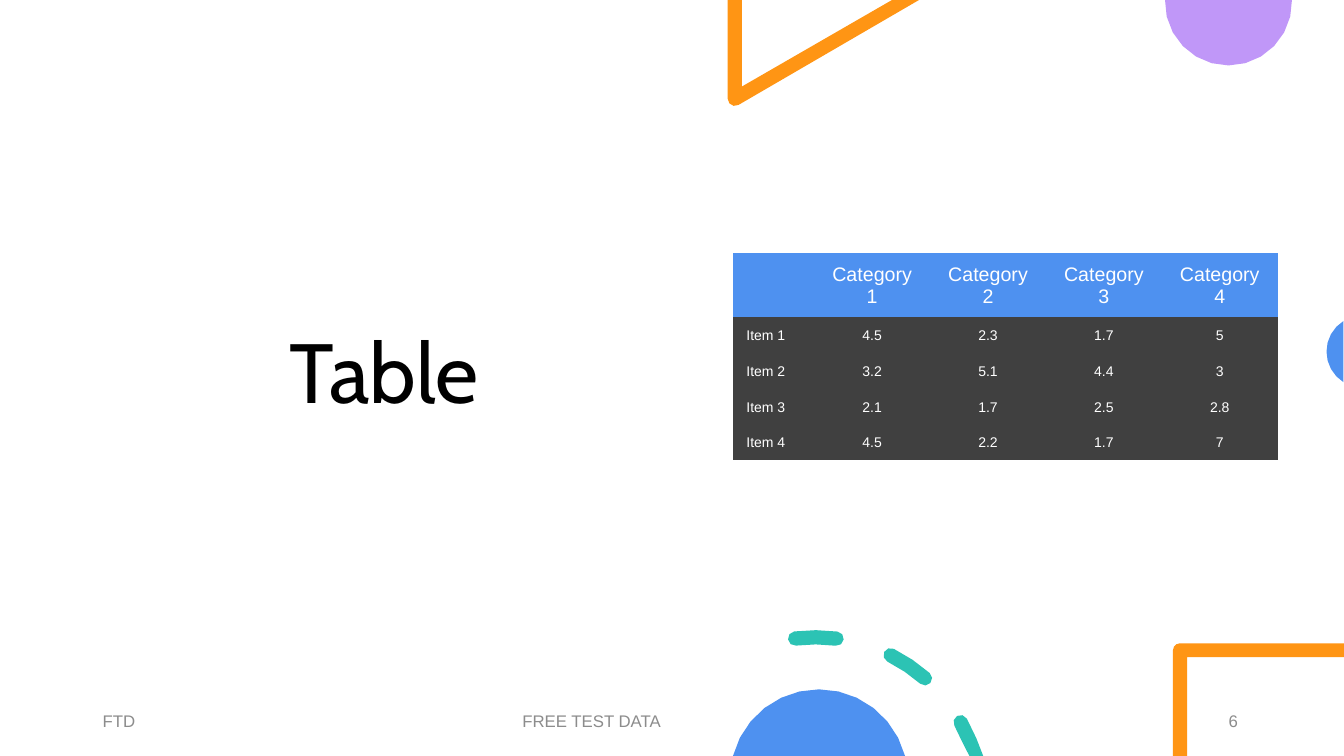
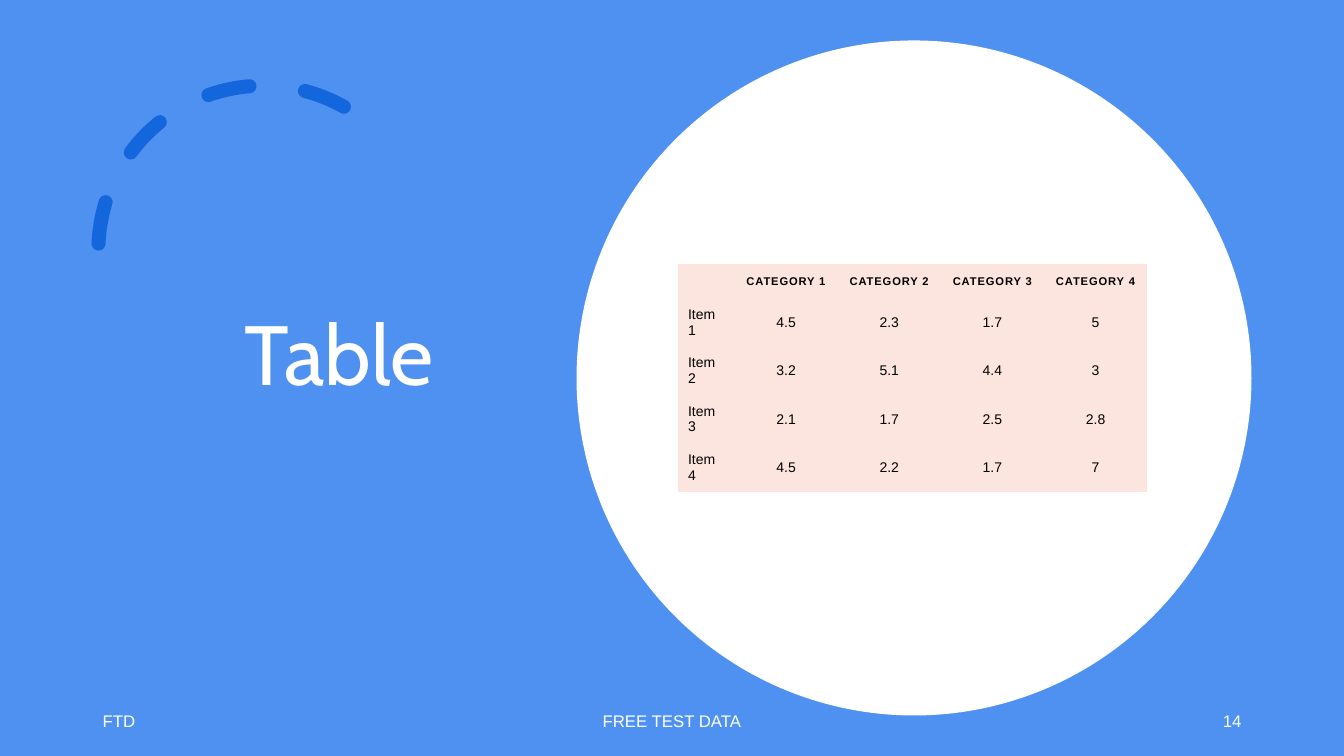
import math
from dataclasses import dataclass

import pptx
import pptx.dml.color
import pptx.enum.dml
import pptx.enum.shapes
import pptx.enum.text
import pptx.oxml.ns
import pptx.util
from lxml import etree

Cm = pptx.util.Cm
Pt = pptx.util.Pt
Align = pptx.enum.text.PP_ALIGN
Anchor = pptx.enum.text.MSO_ANCHOR
Shape = pptx.enum.shapes.MSO_SHAPE
qn = pptx.oxml.ns.qn


@dataclass(frozen=True)
class Theme:
    wide: float = 33.87
    high: float = 19.05
    head: str = "Cabin"
    body: str = "Arial"
    white: str = "FFFFFF"
    black: str = "000000"
    blue: str = "4E91F0"
    navy: str = "1366DC"
    orange: str = "FF9514"
    purple: str = "C097F8"
    teal: str = "2CC3B4"
    dark: str = "404040"
    pink: str = "FCE5DE"
    gray: str = "8C8C8C"
    title: int = 60
    foot: int = 12
    large: int = 14
    cell: int = 10
    small: int = 8


THEME = Theme()
PLAIN = "{2D5ABB26-0587-4C30-8999-92F81FD0307C}"
HEADS = ["", "Category 1", "Category 2", "Category 3", "Category 4"]
ITEMS = [
    ["Item 1", "4.5", "2.3", "1.7", "5"],
    ["Item 2", "3.2", "5.1", "4.4", "3"],
    ["Item 3", "2.1", "1.7", "2.5", "2.8"],
    ["Item 4", "4.5", "2.2", "1.7", "7"],
]


def tint(fill, color):
    fill.solid()
    fill.fore_color.rgb = pptx.dml.color.RGBColor.from_string(color)


def write(frame, text, size, color, font=THEME.body, align=Align.LEFT,
          bold=False, track=0, line=None, after=None):
    para = frame.paragraphs[0]
    para.alignment = align
    if line:
        para.line_spacing = line
    if after:
        para.space_after = Pt(after)
    if not text:
        etree.SubElement(para._p, qn("a:endParaRPr"), sz=str(size * 100))
        return
    run = para.add_run()
    run.text = text
    run.font.name = font
    run.font.size = Pt(size)
    run.font.bold = bold
    tint(run.font.fill, color)
    if track:
        run.font._element.set("spc", str(round(track * 100)))


def label(slide, box, text, anchor=Anchor.MIDDLE, **style):
    frame = slide.shapes.add_textbox(*map(Cm, box)).text_frame
    frame.word_wrap = True
    frame.vertical_anchor = anchor
    write(frame, text, **style)


def title(slide, box, text, color):
    label(slide, box, text, Anchor.BOTTOM, size=THEME.title, color=color,
          font=THEME.head, align=Align.CENTER, line=0.9)


def footer(slide, color, parts):
    for text, left, wide, align in parts:
        label(slide, (left, 17.65, wide, 1.02), text, size=THEME.foot,
              color=color, align=align, after=6)


def finish(shape, color):
    shape.shadow.inherit = False
    tint(shape.fill, color)
    shape.line.fill.background()


def solid(slide, kind, box, color):
    finish(slide.shapes.add_shape(kind, *map(Cm, box)), color)


def curve(x, y, radius, start, end, steps):
    turns = [math.radians(start + (end - start) * i / steps)
             for i in range(steps + 1)]
    return [(x + radius * math.cos(t), y + radius * math.sin(t))
            for t in turns]


def clip(points):
    spots = [(Cm(min(max(x, 0), THEME.wide)), Cm(min(max(y, 0), THEME.high)))
             for x, y in points]
    return list(dict.fromkeys(spots))


def outline(slide, color, *loops):
    first, *rest = map(clip, loops)
    pen = slide.shapes.build_freeform(*first[0])
    pen.add_line_segments(first[1:], close=True)
    for spots in rest:
        pen.move_to(*spots[0])
        pen.add_line_segments(spots[1:], close=True)
    finish(pen.convert_to_shape(), color)


def dash(x, y, radius, start, end, half=0.18):
    tail, tip = (curve(x, y, radius, a, a, 1)[0] for a in (start, end))
    return (curve(x, y, radius + half, start, end, 2)
            + curve(*tip, half, end, end + 180, 4)[1:]
            + curve(x, y, radius - half, end, start, 2)[1:]
            + curve(*tail, half, start + 180, start + 360, 4)[1:-1])


def dashed(slide, box, color):
    arc = slide.shapes.add_shape(Shape.ARC, *map(Cm, box))
    arc.shadow.inherit = False
    arc.adjustments[0] = 144.42
    arc.adjustments[1] = 0
    arc.fill.background()
    tint(arc.line.fill, color)
    arc.line.width = Pt(10)
    arc.line.dash_style = pptx.enum.dml.MSO_LINE.DASH
    props = arc._element.spPr
    props.find(qn("a:xfrm")).set("flipH", "1")
    props.find(qn("a:ln")).set("cap", "rnd")


def grid(slide, spot, cols, rows, heads, fills, pads, styles):
    data = [heads] + ITEMS
    frame = slide.shapes.add_table(len(data), len(heads), *map(Cm, spot),
                                   Cm(sum(cols)), Cm(sum(rows)))
    table = frame.table
    table.first_row = table.horz_banding = False
    table._tbl.tblPr.find(qn("a:tableStyleId")).text = PLAIN
    for col, wide in zip(table.columns, cols):
        col.width = Cm(wide)
    for i, (row, high) in enumerate(zip(table.rows, rows)):
        row.height = Cm(high)
        part = min(i, 1)
        side, top, base = pads[part]
        for j, cell in enumerate(row.cells):
            tint(cell.fill, fills[part])
            cell.vertical_anchor = Anchor.MIDDLE
            cell.margin_left = cell.margin_right = Cm(side)
            cell.margin_top, cell.margin_bottom = Cm(top), Cm(base)
            write(cell.text_frame, data[i][j], **styles[part],
                  align=Align.CENTER if j else Align.LEFT)


def add_slide(deck, color):
    slide = deck.slides.add_slide(deck.slide_layouts[6])
    solid(slide, Shape.RECTANGLE, (0, 0, THEME.wide, THEME.high), color)
    return slide


def light(deck):
    slide = add_slide(deck, THEME.white)
    title(slide, (2.44, 2.21, 14.5, 8.53), "Table", THEME.black)
    outline(slide, THEME.orange,
            [(18.34, 0), (18.7, 0), (18.7, 2.18), (22.48, 0), (23.16, 0)]
            + curve(18.52, 2.49, 0.18, 60, 180, 3))
    outline(slide, THEME.purple, curve(30.96, 0.05, 1.6, -2, 182, 12))
    outline(slide, THEME.blue, curve(34.34, 8.86, 0.91, 122, 238, 8))
    footer(slide, THEME.gray, [
        ("FTD", 2.34, 4.78, Align.LEFT),
        ("FREE TEST DATA", 8.2, 8.71, Align.RIGHT),
        ("6", 23.93, 7.52, Align.RIGHT),
    ])
    outline(slide, THEME.teal,
            *[dash(20.55, 20.26, 4.2, start, start + 14.3)
              for start in (263, 296.8, 330.6)])
    outline(slide, THEME.blue, curve(20.64, 19.61, 2.24, 194.5, 345.5, 12))
    outline(slide, THEME.orange,
            [(THEME.wide, 16.21), (THEME.wide, 16.56), (29.92, 16.56),
             (29.92, THEME.high), (29.56, THEME.high)]
            + curve(29.74, 16.39, 0.18, 180, 270, 3))
    grid(slide, (18.47, 6.38), [2.05] + [2.92] * 4, [1.62] + [0.9] * 4,
         HEADS, (THEME.blue, THEME.dark),
         [(0.34, 0.22, 0.19)] * 2,
         [dict(size=size, color=THEME.white)
          for size in (THEME.large, THEME.cell)])


def bright(deck):
    slide = add_slide(deck, THEME.blue)
    dashed(slide, (2.48, 2.16, 8.31, 8.31), THEME.navy)
    title(slide, (2.34, 1.8, 12.42, 8.49), "Table", THEME.white)
    footer(slide, THEME.white, [
        ("FTD", 2.34, 7.62, Align.LEFT),
        ("FREE TEST DATA", 11.22, 11.43, Align.CENTER),
        ("14", 23.92, 7.62, Align.RIGHT),
    ])
    solid(slide, Shape.OVAL, (14.53, 1.02, 17.01, 17.01), THEME.white)
    grid(slide, (17.09, 6.65), [1.42] + [2.6] * 4, [0.88] + [1.22] * 4,
         [text.upper() for text in HEADS], (THEME.pink, THEME.pink),
         [(0.25, 0.25, 0.25), (0.25, 0.12, 0.15)],
         [dict(size=THEME.small, color=THEME.black, bold=True, track=0.6),
          dict(size=THEME.cell, color=THEME.black)])


def main():
    deck = pptx.Presentation()
    deck.slide_width = Cm(THEME.wide)
    deck.slide_height = Cm(THEME.high)
    light(deck)
    bright(deck)
    deck.save("out.pptx")


if __name__ == "__main__":
    main()
